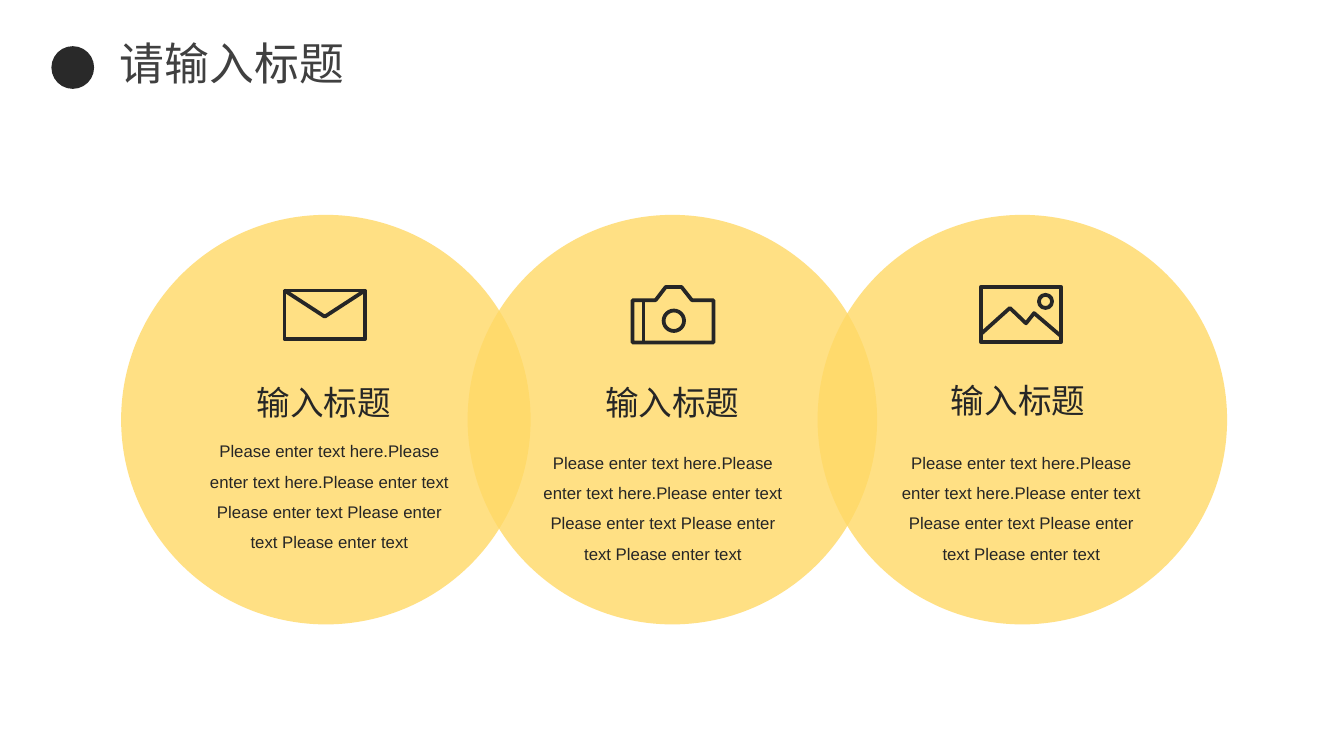
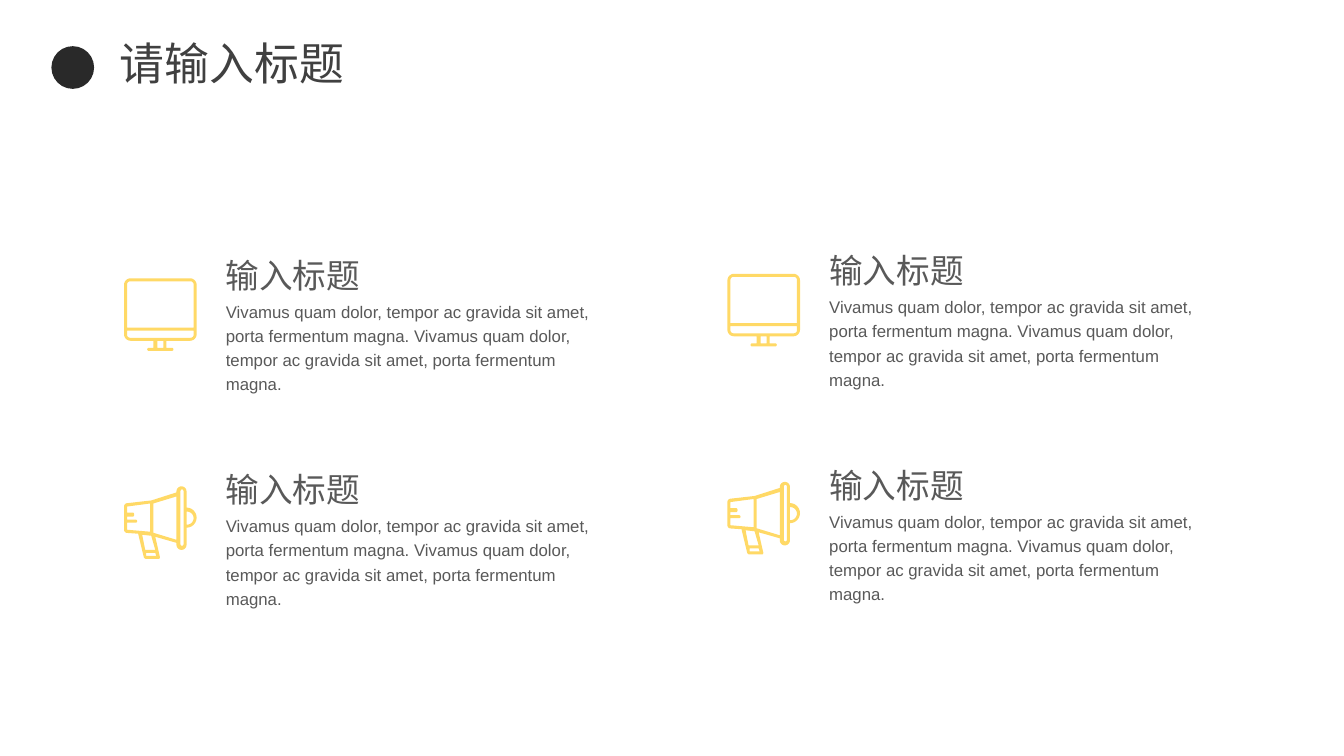
import dataclasses

import lxml.etree
import pptx
import pptx.dml.color
import pptx.enum.shapes
import pptx.enum.text
import pptx.oxml.ns
import pptx.util

Pt = pptx.util.Pt
qn = pptx.oxml.ns.qn
OVAL = pptx.enum.shapes.MSO_SHAPE.OVAL
ALIGN = pptx.enum.text.PP_ALIGN


@dataclasses.dataclass(frozen=True)
class Theme:
    font: str = "Arial"
    ink: str = "262626"
    dot: str = "292929"
    title: str = "404040"
    grey: str = "595959"
    gold: str = "FFD966"
    big: int = 32
    head: int = 24
    body: int = 12
    stroke: float = 2.7


THEME = Theme()


def rgb(code):
    return pptx.dml.color.RGBColor.from_string(code)


def bend(corners, steps=6):
    """Turn (x, y) and rounded (x, y, radius) corners into plain points."""
    points = []
    for i, (x, y, *rest) in enumerate(corners):
        if not rest:
            points.append((x, y))
            continue
        ends = []
        for near in (corners[i - 1], corners[(i + 1) % len(corners)]):
            dx, dy = near[0] - x, near[1] - y
            part = rest[0] / (dx * dx + dy * dy) ** 0.5
            ends.append((x + dx * part, y + dy * part))
        (ax, ay), (bx, by) = ends
        # A middle weight of root one half makes a square corner a true arc
        for k in range(steps + 1):
            t = k / steps
            a, m, b = (1 - t) ** 2, 2 ** 0.5 * t * (1 - t), t * t
            total = a + m + b
            points.append(((a * ax + m * x + b * bx) / total,
                           (a * ay + m * y + b * by) / total))
    return points


class Deck:
    def __init__(self, theme):
        self.theme = theme
        self.show = pptx.Presentation()
        self.show.slide_width, self.show.slide_height = Pt(960), Pt(540)
        self.slide = None

    def page(self, title):
        self.slide = self.show.slides.add_slide(self.show.slide_layouts[6])
        self.disc(36.75, 33, 30.5, fill=self.theme.dot)
        self.text(title, 78.5, 21.6, 176.4, 46, self.theme.big,
                  self.theme.title, wrap=False)

    def paint(self, shape, fill=None, line=None, alpha=None):
        if fill:
            shape.fill.solid()
            shape.fill.fore_color.rgb = rgb(fill)
        else:
            shape.fill.background()
        if alpha:
            tint = shape.element.spPr.find(qn("a:solidFill")).find(qn("a:srgbClr"))
            lxml.etree.SubElement(tint, qn("a:alpha"), val=str(alpha * 1000))
        if line:
            self.pen(shape, line)
        else:
            shape.line.fill.background()
        shape.shadow.inherit = False

    def pen(self, shape, color):
        shape.line.color.rgb = rgb(color)
        shape.line.width = Pt(self.theme.stroke)
        lxml.etree.SubElement(shape.element.spPr.find(qn("a:ln")), qn("a:round"))

    def disc(self, x, y, size, **look):
        shape = self.slide.shapes.add_shape(OVAL, Pt(x), Pt(y), Pt(size), Pt(size))
        self.paint(shape, **look)

    def form(self, x, y, loops, close=True, unit=1, **look):
        """Draw loops of points, given in units from the corner (x, y)."""
        pen = None
        for loop in loops:
            dots = [(Pt(a * unit), Pt(b * unit)) for a, b in loop]
            if pen is None:
                pen = self.slide.shapes.build_freeform(*dots[0])
            else:
                pen.move_to(*dots[0])
            pen.add_line_segments(dots[1:], close=close)
        self.paint(pen.convert_to_shape(Pt(x), Pt(y)), **look)

    def line(self, x1, y1, x2, y2, color):
        kind = pptx.enum.shapes.MSO_CONNECTOR.STRAIGHT
        link = self.slide.shapes.add_connector(kind, Pt(x1), Pt(y1), Pt(x2), Pt(y2))
        self.pen(link, color)
        lxml.etree.SubElement(link.element.spPr, qn("a:effectLst"))

    def text(self, words, x, y, w, h, size, color,
             align=ALIGN.LEFT, space=None, wrap=True):
        box = self.slide.shapes.add_textbox(Pt(x), Pt(y), Pt(w), Pt(h))
        frame = box.text_frame
        frame.word_wrap = wrap
        frame.auto_size = pptx.enum.text.MSO_AUTO_SIZE.SHAPE_TO_FIT_TEXT
        para = frame.paragraphs[0]
        para.alignment = align
        if space:
            para.line_spacing = space
        run = para.add_run()
        run.text = words
        run.font.name = self.theme.font
        run.font.size = Pt(size)
        run.font.color.rgb = rgb(color)


# Line icons of the circles
def mail(deck, x, y):
    w, h = 57.6, 34.6
    deck.form(x, y, [[(0, 0), (w, 0), (w, h), (0, h)]], line=THEME.ink)
    deck.form(x, y, [[(0, 0), (w / 2, 18.7), (w, 0)]], close=False, line=THEME.ink)


def camera(deck, x, y):
    w, h, top = 57.8, 39.6, 9.4
    body = [(0, top), (16.5, top), (23.7, 0), (35, 0), (42.4, top),
            (w, top), (w, h), (0, h)]
    deck.form(x, y, [body], line=THEME.ink)
    deck.disc(x + 22.2, y + 16.8, 14.6, line=THEME.ink)
    deck.line(x + 7.9, y + top, x + 7.9, y + h, THEME.ink)


def photo(deck, x, y):
    w, h = 57.6, 39.2
    ridge = [(0, 33.8), (20.9, 15), (32.4, 26), (38.2, 18.7), (w, 35.3)]
    deck.form(x, y, [[(0, 0), (w, 0), (w, h), (0, h)]], line=THEME.ink)
    deck.form(x, y, [ridge], close=False, line=THEME.ink)
    deck.disc(x + 41.6, y + 5.6, 9.4, line=THEME.ink)


# Solid icons: an outer edge, then its holes, on a grid of 72 units
SCREEN = [
    [(0, 0, 6.5), (72, 0, 6.5), (72, 62, 6.5), (42, 62), (42, 69),
     (49, 69, 1.5), (49, 72, 1.5), (23, 72, 1.5), (23, 69, 1.5),
     (29, 69), (29, 62), (0, 62, 6.5)],
    [(3, 49), (3, 3, 3), (69, 3, 3), (69, 49)],
    [(3, 52), (69, 52), (69, 59, 3), (3, 59, 3)],
    [(33, 62), (39, 62), (39, 69), (33, 69)],
]
HORN = [
    [(52, 0, 5), (62, 0, 5), (62, 21), (72, 21, 10), (72, 41, 10), (62, 41),
     (62, 63, 5), (52, 63, 5), (52, 56), (31, 50), (36, 72, 2), (20, 72, 2),
     (14, 47), (0, 46, 3), (0, 17, 3), (27, 14), (52, 6)],
    [(62, 25), (69, 25, 6.5), (69, 38, 6.5), (62, 38)],
    [(56, 3, 1.5), (59, 3, 1.5), (59, 59, 1.5), (56, 59, 1.5)],
    [(29, 17), (52, 10), (52, 53), (29, 46)],
    [(22, 66), (31, 66), (32, 69), (22, 69)],
    [(18, 48), (27, 49), (31, 63), (21, 63)],
    [(3, 43), (3, 36), (13, 36, 1.5), (13, 33, 1.5), (3, 33), (3, 30),
     (10, 30, 1.5), (10, 26, 1.5), (3, 26), (3, 20), (26, 17), (26, 45)],
]

TITLE = "请输入标题"
HEAD = "输入标题"
PLEASE = ("Please enter text here.Please enter text here.Please enter text "
          "Please enter text Please enter text Please enter text")
LATIN = " ".join(["Vivamus quam dolor, tempor ac gravida sit amet, "
                  "porta fermentum magna."] * 2)

deck = Deck(THEME)

# Slide 1: three linked circles, each with an icon, a head and a text
deck.page(TITLE)
for left in (86.5, 334, 584):
    deck.disc(left, 153.5, 292.5, fill=THEME.gold, alpha=80)
for icon, x, y in ((mail, 203.2, 207.5), (camera, 451.8, 205), (photo, 700.5, 205)):
    icon(deck, x, y)
for x, y in ((134, 269.3), (383, 269.3), (630, 267.8)):
    deck.text(HEAD, x, y, 194.4, 36, THEME.head, THEME.ink, ALIGN.CENTER)
for x, y in ((138.2, 304.4), (376.4, 312.6), (632.4, 312.6)):
    deck.text(PLEASE, x, y, 194.4, 92, THEME.body, THEME.ink, ALIGN.CENTER, 1.5)

# Slide 2: two by two items, the right column a little higher
deck.page(TITLE)
for col in range(2):
    for row, (icon, drop) in enumerate(((SCREEN, 26.2), (HORN, 21.6))):
        x, y = 88.6 + 431 * col, 172.6 + 153.2 * row - 3.2 * col
        deck.form(x, y + drop, [bend(loop) for loop in icon],
                  unit=0.72, fill=THEME.gold)
        deck.text(HEAD, x + 65.6, y, 288.7, 39, THEME.head, THEME.grey, space=1.2)
        deck.text(LATIN, x + 65.6, y + 36.4, 288.7, 77, THEME.body,
                  THEME.grey, space=1.2)

deck.show.save("out.pptx")
